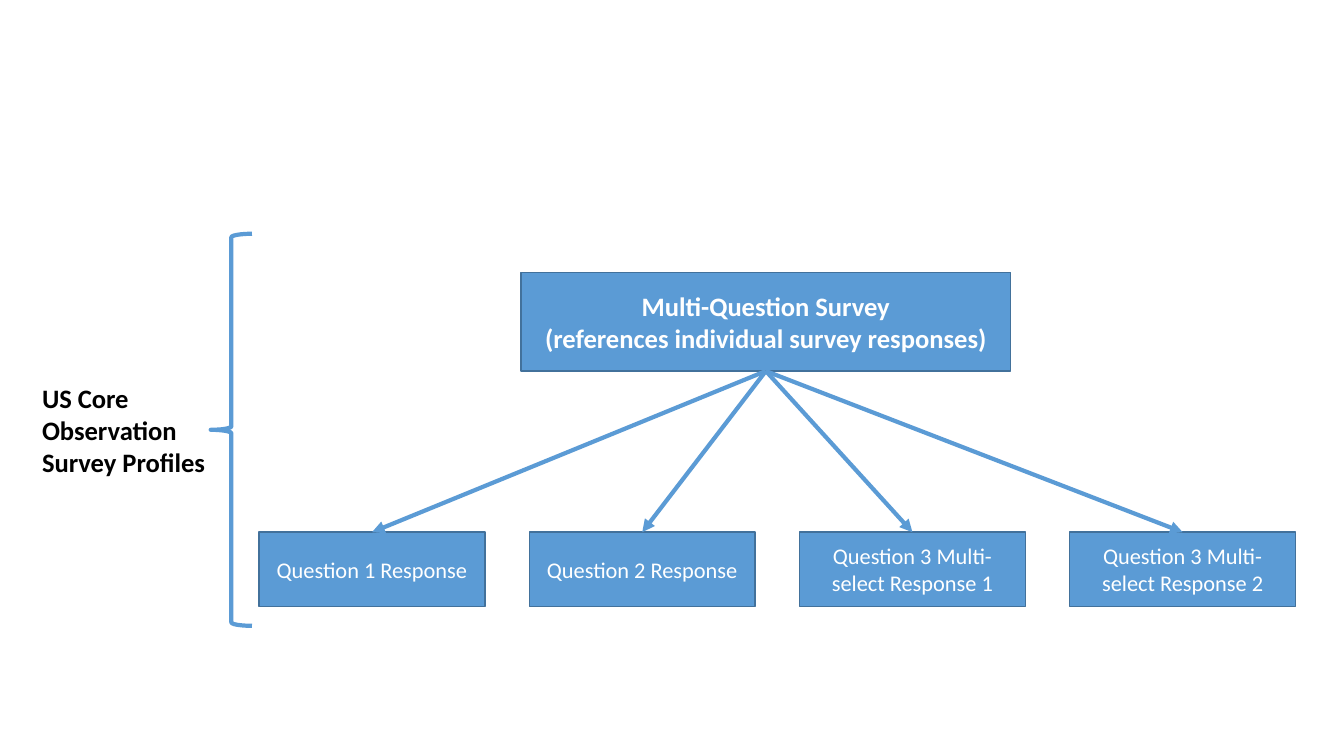
import pptx
import pptx.util
import pptx.dml.color
import pptx.enum.shapes
import pptx.enum.text
import pptx.oxml.ns
import lxml.etree

Cm, Pt = pptx.util.Cm, pptx.util.Pt
Shape = pptx.enum.shapes.MSO_SHAPE
BLUE, EDGE, WHITE, BLACK = "5B9BD5", "42719B", "FFFFFF", "000000"


def rgb(color):
    return pptx.dml.color.RGBColor.from_string(color)


def write(shape, text, size, color, bold, align):
    frame = shape.text_frame
    frame.word_wrap = True
    frame.vertical_anchor = pptx.enum.text.MSO_ANCHOR.MIDDLE
    frame.text = text
    for paragraph in frame.paragraphs:
        paragraph.alignment = align
        paragraph.font.name = "Calibri"
        paragraph.font.size = Pt(size)
        paragraph.font.bold = bold
        paragraph.font.color.rgb = rgb(color)


deck = pptx.Presentation()
deck.slide_width, deck.slide_height = Cm(33.87), Cm(19.05)
slide = deck.slides.add_slide(deck.slide_layouts[6])
shapes = slide.shapes

# Survey on top, responses in an evenly spaced row
survey_left, survey_top, survey_width, survey_height = 13.13, 6.86, 12.34, 2.49
row_left, row_top, row_step = 6.53, 13.41, 6.81
response_width, response_height = 5.69, 1.88
responses = [
    "Question 1 Response",
    "Question 2 Response",
    "Question 3 Multi-select Response 1",
    "Question 3 Multi-select Response 2",
]
boxes = [("Multi-Question Survey\n(references individual survey responses)", 19, True,
          survey_left, survey_top, survey_width, survey_height)]
for i, response in enumerate(responses):
    boxes.append((response, 16, False, row_left + i * row_step, row_top,
                  response_width, response_height))

for text, size, bold, left, top, width, height in boxes:
    box = shapes.add_shape(Shape.RECTANGLE, Cm(left), Cm(top), Cm(width), Cm(height))
    box.shadow.inherit = False
    box.fill.solid()
    box.fill.fore_color.rgb = rgb(BLUE)
    box.line.color.rgb = rgb(EDGE)
    box.line.width = Pt(1)
    write(box, text, size, WHITE, bold, pptx.enum.text.PP_ALIGN.CENTER)

# Brace and its label
brace = shapes.add_shape(Shape.RIGHT_BRACE, Cm(5.31), Cm(5.89), Cm(1.04), Cm(9.88))
brace.rotation = 180
brace.shadow.inherit = False
brace.fill.background()
brace.line.color.rgb = rgb(BLUE)
brace.line.width = Pt(3)

profiles = shapes.add_textbox(Cm(0.81), Cm(9.19), Cm(5.54), Cm(3.28))
write(profiles, "US Core Observation Survey Profiles", 19, BLACK, True,
      pptx.enum.text.PP_ALIGN.LEFT)

# Arrows from the survey to each response
for i in range(len(responses)):
    arrow = shapes.add_connector(
        pptx.enum.shapes.MSO_CONNECTOR.STRAIGHT,
        Cm(survey_left + survey_width / 2), Cm(survey_top + survey_height),
        Cm(row_left + i * row_step + response_width / 2), Cm(row_top))
    arrow.line.color.rgb = rgb(BLUE)
    arrow.line.width = Pt(3)
    lxml.etree.SubElement(arrow.line._get_or_add_ln(),
                          pptx.oxml.ns.qn("a:tailEnd"), type="triangle")
    lxml.etree.SubElement(arrow._element.spPr, pptx.oxml.ns.qn("a:effectLst"))

deck.save("out.pptx")
